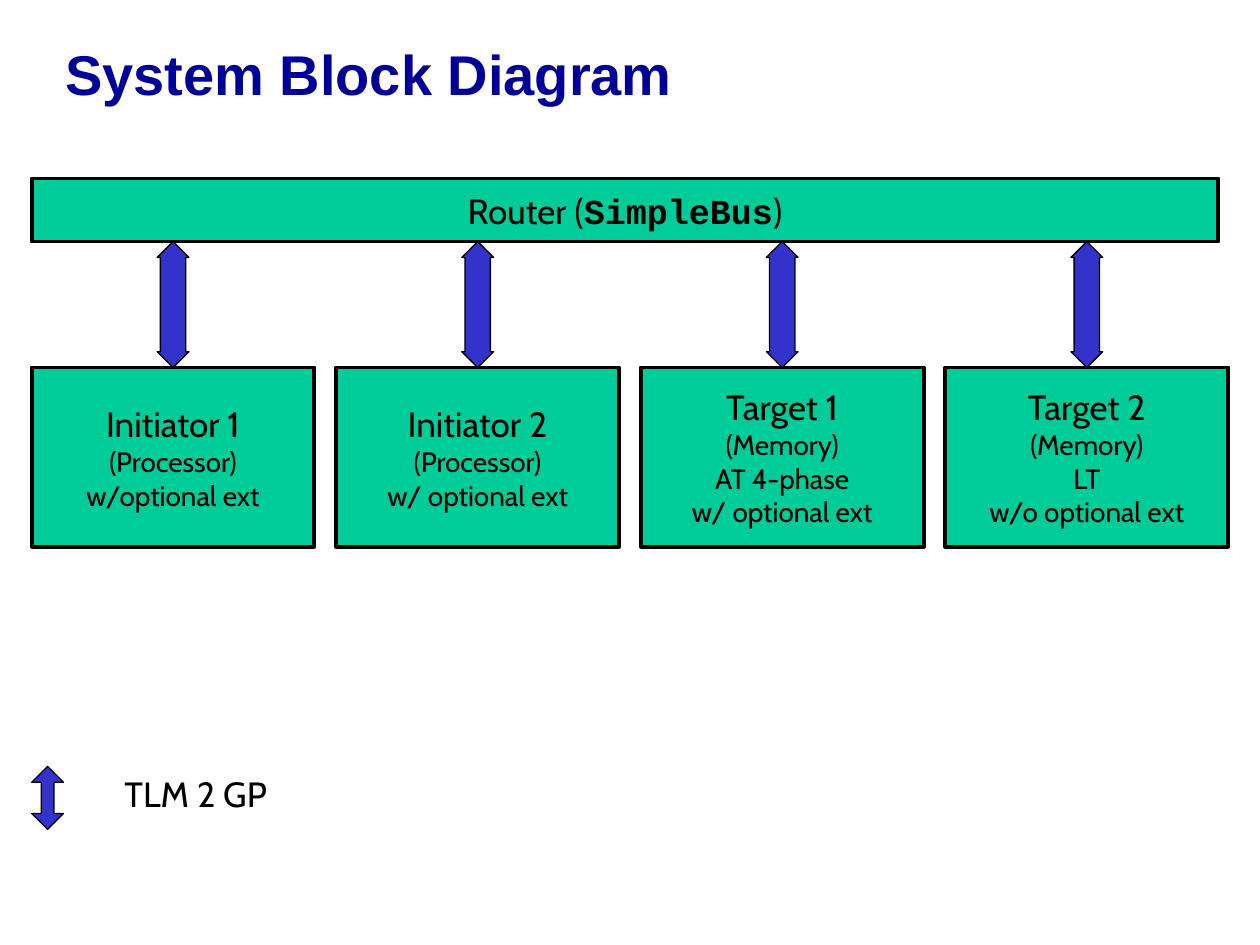
from pptx import Presentation
from pptx.dml.color import RGBColor
from pptx.enum import shapes, text
from pptx.util import Cm, Pt

LEFT = 0.64
PITCH = 6.14
BLOCK_W = 5.7
ARROW_W = 0.64
ROUTER_TOP, ROUTER_H = 3.6, 1.27
BLOCK_TOP, BLOCK_H = 7.41, 3.61
LEGEND_TOP = 15.45

BLOCKS = [
    ["Initiator 1", "(Processor)", "w/optional ext"],
    ["Initiator 2", "(Processor)", "w/ optional ext"],
    ["Target 1", "(Memory)", "AT 4-phase", "w/ optional ext"],
    ["Target 2", "(Memory)", "LT", "w/o optional ext"],
]


def color(value):
    return RGBColor.from_string(value)


def style_font(font, size, name="Cabin", fill="000000", bold=False):
    font.size = Pt(size)
    font.name = name
    font.bold = bold
    font.color.rgb = color(fill)


def add_title(s, title):
    sp = s.shapes.title
    sp.left, sp.top, sp.width, sp.height = Cm(1.06), Cm(0), Cm(24.13), Cm(3.18)
    tf = sp.text_frame
    tf.text = title
    tf.vertical_anchor = text.MSO_ANCHOR.MIDDLE
    p = tf.paragraphs[0]
    p.alignment = text.PP_ALIGN.LEFT
    p.line_spacing = 0.85
    style_font(p.font, 32, "Arial", "000099", True)


def add_filled(s, kind, x, y, w, h, fill, weight):
    sp = s.shapes.add_shape(kind, Cm(x), Cm(y), Cm(w), Cm(h))
    sp.shadow.inherit = False
    sp.fill.solid()
    sp.fill.fore_color.rgb = color(fill)
    sp.line.color.rgb = color("000000")
    sp.line.width = Pt(weight)
    return sp


def add_box(s, x, y, w, h):
    sp = add_filled(s, shapes.MSO_SHAPE.RECTANGLE, x, y, w, h, "00CC99", 2.25)
    tf = sp.text_frame
    tf.word_wrap = False
    tf.vertical_anchor = text.MSO_ANCHOR.MIDDLE
    return tf


def add_block(s, x, lines):
    tf = add_box(s, x, BLOCK_TOP, BLOCK_W, BLOCK_H)
    tf.text = "\n".join(lines)
    for i, p in enumerate(tf.paragraphs):
        p.alignment = text.PP_ALIGN.CENTER
        style_font(p.font, 16 if i else 20)


def add_router(s):
    p = add_box(s, LEFT, ROUTER_TOP, 23.92, ROUTER_H).paragraphs[0]
    p.alignment = text.PP_ALIGN.CENTER
    for part, name, bold in [("Router (", "Cabin", False),
                             ("SimpleBus", "Courier New", True),
                             (")", "Cabin", False)]:
        r = p.add_run()
        r.text = part
        style_font(r.font, 20, name, bold=bold)


def add_arrow(s, x, y, h, head):
    sp = add_filled(s, shapes.MSO_SHAPE.UP_DOWN_ARROW, x, y, ARROW_W, h, "3333CC", 0.75)
    sp.adjustments[0] = 0.5
    sp.adjustments[1] = head


def add_label(s, x, y, w, h, label):
    tf = s.shapes.add_textbox(Cm(x), Cm(y), Cm(w), Cm(h)).text_frame
    tf.word_wrap = False
    tf.auto_size = text.MSO_AUTO_SIZE.SHAPE_TO_FIT_TEXT
    tf.text = label
    p = tf.paragraphs[0]
    p.alignment = text.PP_ALIGN.CENTER
    style_font(p.font, 20)


def main():
    prs = Presentation()
    prs.slide_width, prs.slide_height = Cm(25.4), Cm(19.05)
    s = prs.slides.add_slide(prs.slide_layouts[5])
    add_title(s, "System Block Diagram")
    add_router(s)
    bus_bottom = ROUTER_TOP + ROUTER_H
    for i, lines in enumerate(BLOCKS):
        x = LEFT + i * PITCH
        add_block(s, x, lines)
        add_arrow(s, x + (BLOCK_W - ARROW_W) / 2, bus_bottom, BLOCK_TOP - bus_bottom, 0.8)
    add_arrow(s, LEFT, LEGEND_TOP, 1.27, 0.4)
    add_label(s, 2.13, LEGEND_TOP, 3.63, 1.11, "TLM 2 GP")
    prs.save("out.pptx")


if __name__ == "__main__":
    main()
